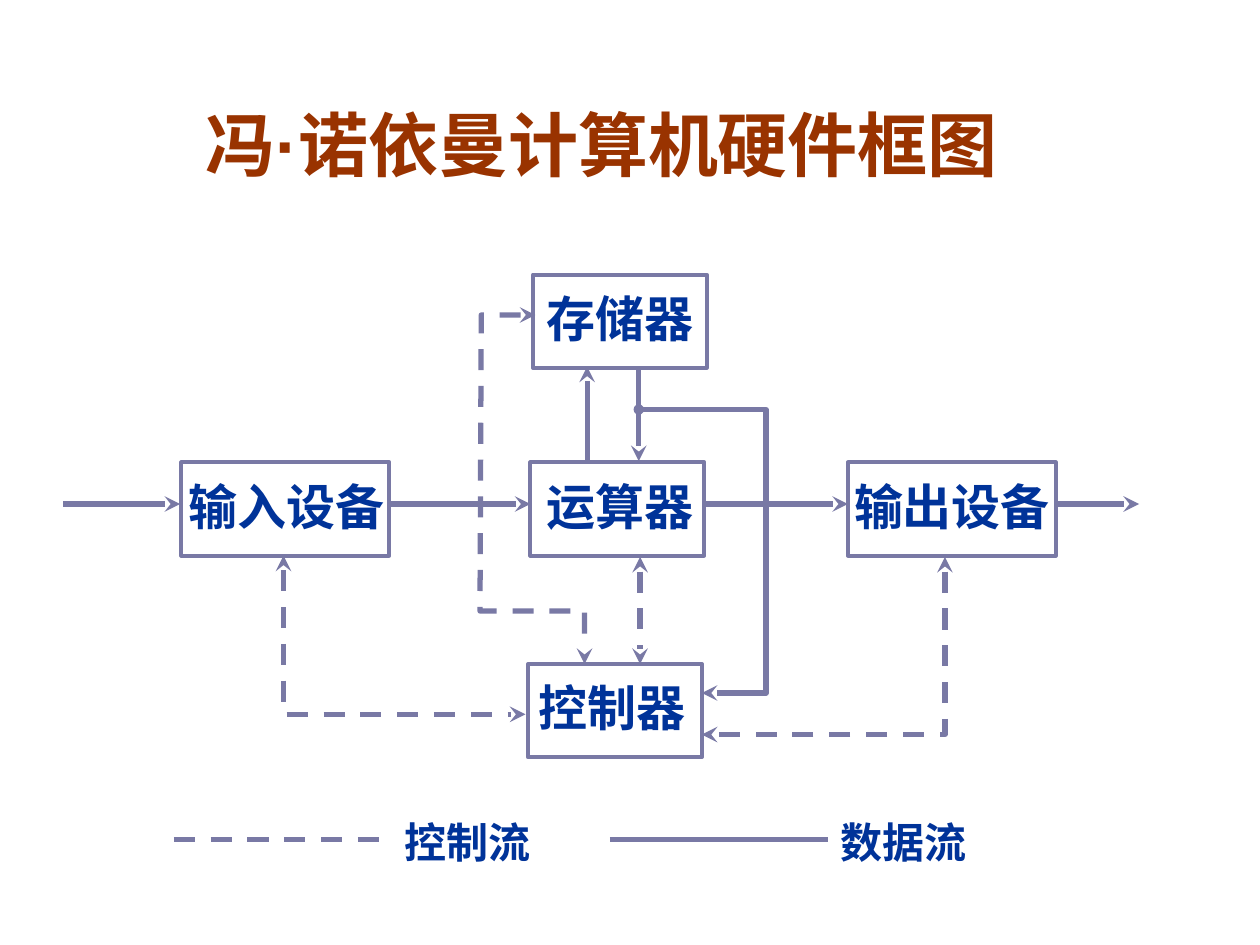
import pptx
import pptx.util
from lxml import etree
from pptx.dml.color import RGBColor
from pptx.enum.dml import MSO_LINE
from pptx.enum.shapes import MSO_CONNECTOR, MSO_SHAPE
from pptx.enum.text import MSO_AUTO_SIZE, PP_ALIGN
from pptx.oxml.ns import qn

PX = 9144  # 100 px to the inch
COLORS = {"title": "993300", "label": "003399", "line": "7979A5"}


class Deck:
    def __init__(self, width, height):
        self.prs = pptx.Presentation()
        self.prs.slide_width, self.prs.slide_height = width * PX, height * PX
        self.s = self.prs.slides.add_slide(self.prs.slide_layouts[6])

    def text(self, x, y, w, h, words, size, color="label", font="Arial",
             before=0, inset=(10, 5), wrap=True, align=PP_ALIGN.LEFT):
        tf = self.s.shapes.add_textbox(x * PX, y * PX, w * PX, h * PX).text_frame
        tf.word_wrap = wrap
        tf.auto_size = MSO_AUTO_SIZE.SHAPE_TO_FIT_TEXT
        tf.margin_left = tf.margin_right = inset[0] * PX
        tf.margin_top = tf.margin_bottom = inset[1] * PX
        p = tf.paragraphs[0]
        p.text = words
        p.alignment = align
        p.space_before = pptx.util.Pt(before)
        f = p.runs[0].font
        f.name, f.size, f.bold = font, pptx.util.Pt(size), True
        f.color.rgb = RGBColor.from_string(COLORS[color])

    def unit(self, x, y, w, words, text_x, text_w):
        """A framed hardware unit with its name."""
        sp = self.s.shapes.add_shape(MSO_SHAPE.RECTANGLE, x * PX, y * PX, w * PX, 74 * PX)
        sp.shadow.inherit = False
        sp.fill.background()
        self.stroke(sp, 2.25)
        self.text(text_x, y + 11, text_w, 47, words, 28, font="Noto Sans CJK SC",
                  before=7, inset=(0, 0), wrap=False, align=PP_ALIGN.CENTER)

    def stroke(self, sp, width, dashed=False, head=None, tail=None):
        sp.line.color.rgb = RGBColor.from_string(COLORS["line"])
        sp.line.width = pptx.util.Pt(width)
        if dashed:
            sp.line.dash_style = MSO_LINE.DASH
        ln = sp.line._get_or_add_ln()
        for tag, kind in (("a:headEnd", head), ("a:tailEnd", tail)):
            if kind:
                end = etree.SubElement(ln, qn(tag), type=kind)
                if kind == "oval":
                    end.set("w", "sm")
                    end.set("len", "sm")

    def flow(self, points, dashed=False, head=None, tail=None):
        """A straight connector for two points, an open outline for more."""
        if len(points) == 2:
            (x1, y1), (x2, y2) = points
            sp = self.s.shapes.add_connector(
                MSO_CONNECTOR.STRAIGHT, x1 * PX, y1 * PX, x2 * PX, y2 * PX)
            etree.SubElement(sp._element.spPr, qn("a:effectLst"))
        else:
            fb = self.s.shapes.build_freeform(*points[0], scale=PX)
            fb.add_line_segments(points[1:], close=False)
            sp = fb.convert_to_shape()
            sp.shadow.inherit = False
            sp.fill.background()
        self.stroke(sp, 3, dashed, head, tail)


def main():
    d = Deck(1000, 750)
    d.text(153, 76, 669, 144, "冯·诺依曼计算机硬件框图", 40, "title", before=10)

    for unit in [(423, 218, 138, "存储器", 433, 118),
                 (144, 367, 165, "输入设备", 148, 159),
                 (421, 367, 138, "运算器", 433, 118),
                 (419, 527, 138, "控制器", 427, 118),
                 (673, 367, 165, "输出设备", 676, 159)]:
        d.unit(*unit)

    control_flows = [
        [(225, 441), (225, 567), (417, 567)],
        [(425, 250), (382, 250), (381, 485), (464, 485), (464, 527)],
        [(508, 442), (508, 527)],
        [(750, 442), (750, 583), (557, 583)],
    ]
    for points in control_flows:
        d.flow(points, dashed=True, head="stealth", tail="stealth")

    data_flows = [[(466, 367), (466, 291)], [(507, 292), (507, 366)]]
    data_flows += [[(x1, 400), (x2, 400)]
                   for x1, x2 in ((50, 143), (308, 421), (558, 673), (840, 904))]
    for points in data_flows:
        d.flow(points, tail="stealth")
    d.flow([(507, 325), (608, 325), (608, 550), (557, 550)], head="oval", tail="stealth")

    for x, words, dashed in ((138, "控制流", True), (484, "数据流", False)):
        d.flow([(x, 666), (x + 173, 666)], dashed)
        d.text(x + 173, 643, 142, 50, words, 24, before=15)

    d.prs.save("out.pptx")


if __name__ == "__main__":
    main()
